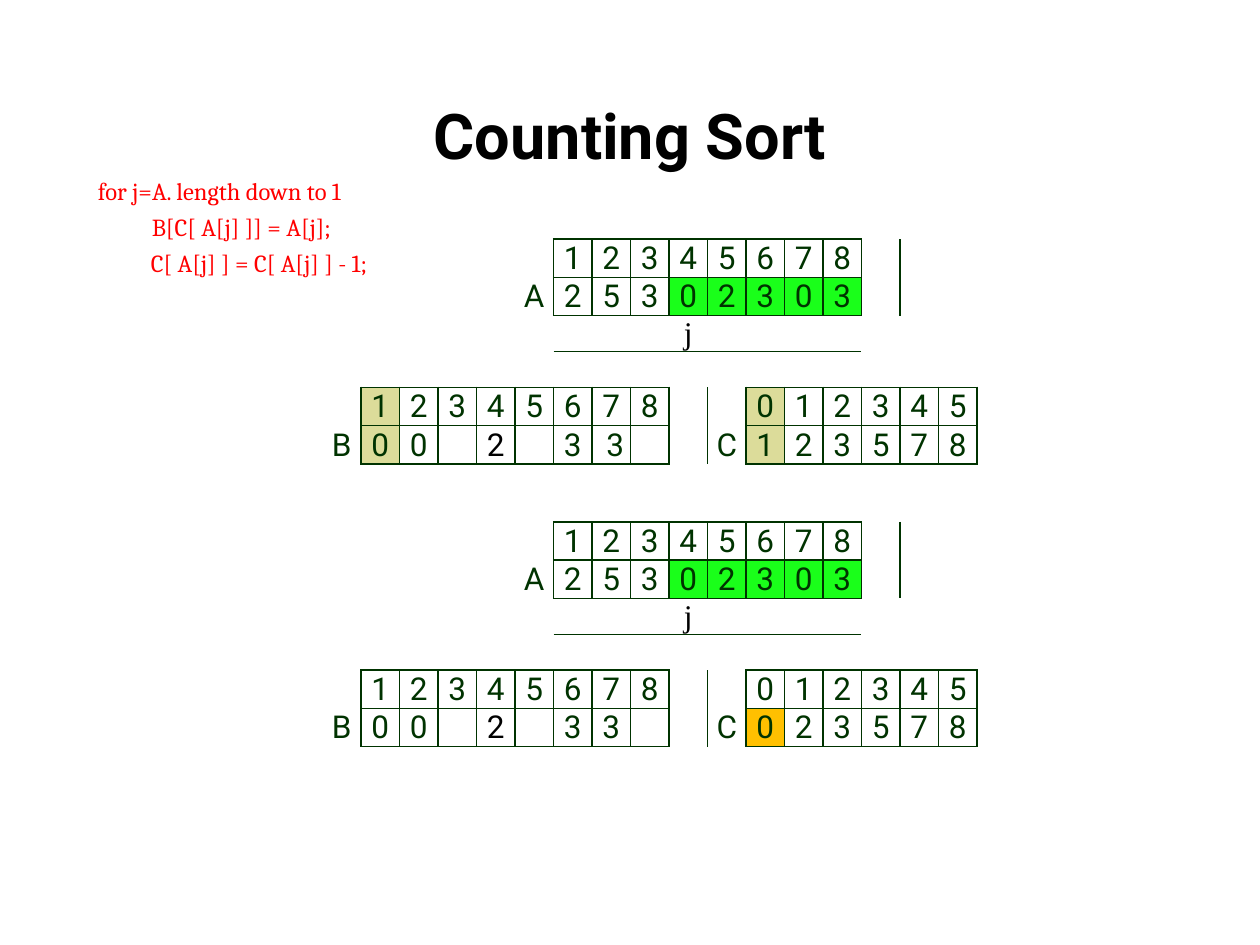
from lxml.etree import SubElement
from pptx import Presentation
from pptx.dml.color import RGBColor
from pptx.enum.text import MSO_ANCHOR, PP_ALIGN
from pptx.oxml.ns import qn
from pptx.util import Pt

TITLE = "Counting Sort"
CODE = [  # text, left indent in points
    ("for j=A. length down to 1", 0.7),
    ("B[C[ A[j] ]] = A[j];", 31.5),
    ("C[ A[j] ] = C[ A[j] ] - 1;", 31),
]
# name: top row, first column, indices
ARRAYS = {
    "A": (0, 6, "12345678"),
    "B": (4, 1, "12345678"),
    "C": (4, 11, "012345"),
}
A_VALUES = list("25302303")
A_DONE = {("A", 1, i): "done" for i in range(3, 8)}
STEPS = [
    {
        "top": 136.6,
        "values": {"A": A_VALUES, "B": ["0", "0", "", "2", "", "3", " 3", ""], "C": list("123578")},
        "fills": {**A_DONE, ("B", 0, 0): "read", ("B", 1, 0): "read",
                  ("C", 0, 0): "read", ("C", 1, 0): "read"},
    },
    {
        "top": 298.2,
        "values": {"A": A_VALUES, "B": ["0", "0", "", "2", "", "3", "3", ""], "C": list("023578")},
        "fills": {**A_DONE, ("C", 1, 0): "changed"},
    },
]
POINTER = (2, 9)
# first row, last row, first column, last column, lined sides
GUIDES = [(0, 1, 14, 14, "LR"), (2, 2, 6, 13, "TB"), (4, 5, 9, 9, "LR")]

THEME = {
    "ink": "003300", "black": "000000", "code": "FF0000",
    "done": "1AFF1A", "read": "DCDC9A", "changed": "FFC000",
    "font": "Roboto", "pointer_font": "Times New Roman", "code_font": "Cambria",
    "title_size": 36, "cell_size": 18, "empty_size": 12, "code_size": 14,
}
ROWS, COLUMNS = 6, 17
LEFT, COLUMN_WIDTH, ROW_HEIGHT, TABLE_HEIGHT = 184.3, 22.02, 20.4, 133.2
NEIGHBOURS = {"L": (0, -1, "R"), "R": (0, 1, "L"), "T": (-1, 0, "B"), "B": (1, 0, "T")}


def style(paragraph, font, size, color, bold=False):
    paragraph.font.name = THEME[font]
    paragraph.font.size = Pt(THEME[size])
    paragraph.font.color.rgb = RGBColor.from_string(THEME[color])
    paragraph.font.bold = bold


def lined_sides():
    """Map each (row, column) to the sides on which it has a line."""
    areas = GUIDES + [(row, row + 1, column, column + len(indices) - 1, "LRTB")
                      for row, column, indices in ARRAYS.values()]
    return {(row, column): sides
            for first_row, last_row, first_column, last_column, sides in areas
            for row in range(first_row, last_row + 1)
            for column in range(first_column, last_column + 1)}


def draw_borders(cell, row, column, lines):
    properties = cell._tc.get_or_add_tcPr()
    for position, (side, (down, across, opposite)) in enumerate(NEIGHBOURS.items()):
        line = SubElement(properties, qn(f"a:ln{side}"), w=str(Pt(1)))
        properties.insert(position, line)
        neighbour = lines.get((row + down, column + across), "")
        if side in lines.get((row, column), "") or opposite in neighbour:
            fill = SubElement(line, qn("a:solidFill"))
            SubElement(fill, qn("a:srgbClr"), val=THEME["ink"])
        else:
            SubElement(line, qn("a:noFill"))


def step_content(step):
    """Return the texts and the fills of one step by (row, column)."""
    texts, fills = {POINTER: "j"}, {}
    for name, (top, first, indices) in ARRAYS.items():
        texts[top + 1, first - 1] = name
        for line, items in enumerate((indices, step["values"][name])):
            for i, item in enumerate(items):
                place = (top + line, first + i)
                texts[place] = item
                if (name, line, i) in step["fills"]:
                    fills[place] = step["fills"][name, line, i]
    return texts, fills


def add_step(page, step, lines):
    frame = page.shapes.add_table(ROWS, COLUMNS, Pt(LEFT), Pt(step["top"]),
                                  Pt(COLUMN_WIDTH * COLUMNS), Pt(TABLE_HEIGHT))
    table = frame.table
    table.first_row = table.horz_banding = False
    for column in table.columns:
        column.width = Pt(COLUMN_WIDTH)
    for row in table.rows:
        row.height = Pt(ROW_HEIGHT)
    frame.height = Pt(TABLE_HEIGHT)

    texts, fills = step_content(step)
    black_value = (ARRAYS["B"][0] + 1, ARRAYS["B"][1] + 3)
    for row in range(ROWS):
        for column in range(COLUMNS):
            place = (row, column)
            cell = table.cell(row, column)
            cell.margin_left = cell.margin_top = cell.margin_right = Pt(0.72)
            cell.margin_bottom = 0
            if place in fills:
                cell.fill.solid()
                cell.fill.fore_color.rgb = RGBColor.from_string(THEME[fills[place]])
            else:
                cell.fill.background()
            draw_borders(cell, row, column, lines)
            para = cell.text_frame.paragraphs[0]
            if texts.get(place):
                para.text = texts[place]
                para.alignment = PP_ALIGN.CENTER
                style(para, "pointer_font" if place == POINTER else "font", "cell_size",
                      "black" if place in (POINTER, black_value) else "ink")
            else:
                SubElement(para._p, qn("a:endParaRPr"), sz=str(THEME["empty_size"] * 100))


def add_title(page):
    title = page.shapes.title
    title.left, title.top, title.width, title.height = Pt(36), Pt(31.7), Pt(648), Pt(90)
    title.text_frame.text = TITLE
    title.text_frame.vertical_anchor = MSO_ANCHOR.MIDDLE
    para = title.text_frame.paragraphs[0]
    para.alignment = PP_ALIGN.CENTER
    style(para, "font", "title_size", "black", bold=True)


def add_code(page):
    box = page.shapes.add_textbox(Pt(48.2), Pt(93.6), Pt(607), Pt(67))
    box.text_frame.word_wrap = True
    for i, (text, indent) in enumerate(CODE):
        para = box.text_frame.add_paragraph() if i else box.text_frame.paragraphs[0]
        para.text = text
        para.line_spacing = 1.21
        para.space_before = Pt(0.1)
        para._p.get_or_add_pPr().set("marL", str(Pt(indent)))
        style(para, "code_font", "code_size", "code")


def main():
    deck = Presentation()
    deck.slide_width, deck.slide_height = Pt(720), Pt(540)
    page = deck.slides.add_slide(deck.slide_layouts[5])
    add_title(page)
    lines = lined_sides()
    for step in STEPS:
        add_step(page, step, lines)
    add_code(page)
    deck.save("out.pptx")


if __name__ == "__main__":
    main()
